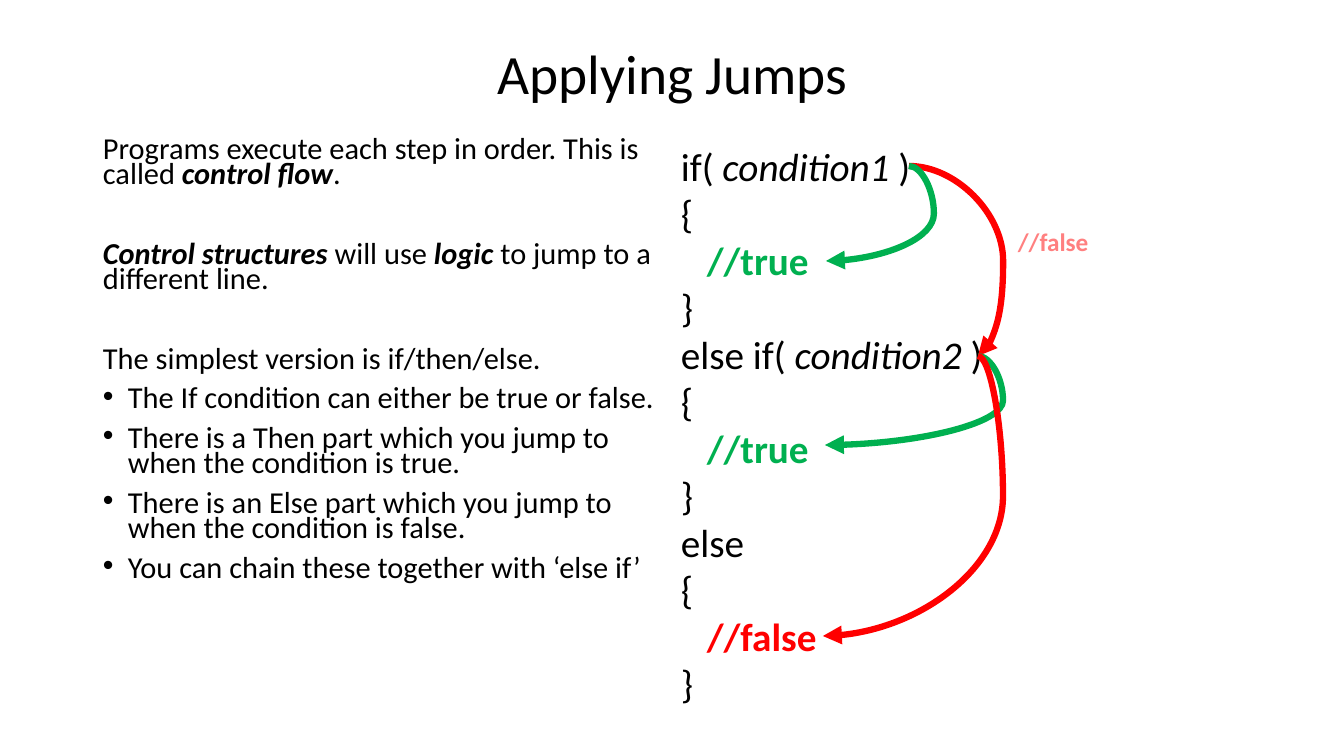
from pptx import Presentation
from pptx import util as u
from pptx.dml.color import RGBColor
from pptx.enum import shapes, text
from pptx.oxml.ns import qn
from lxml import etree

PX = u.Inches(1) / 100.8
HUES = {"ink": "000000", "white": "FFFFFF", "true": "00B050", "false": "FF0000"}


def px(*sizes):
    return [round(size * PX) for size in sizes]


def write(frame, runs, first=False, size=28, hue="ink", bold=False, space=0,
          line=None, align=None, left=0, bullet=False):
    frame.word_wrap = True
    para = frame.paragraphs[0] if first else frame.add_paragraph()
    para.alignment, para.line_spacing = align, line
    para.space_before = u.Pt(space)
    props = para._p.get_or_add_pPr()
    if left:
        props.set("marL", str(px(left)[0]))
    if bullet:
        props.set("indent", str(-px(left)[0]))
        etree.SubElement(props, qn("a:buFont"), typeface="Arial")
        etree.SubElement(props, qn("a:buChar"), char="•")
    for words, mark in runs:
        run = para.add_run()
        run.text = words
        font = run.font
        font.name, font.size = "Calibri", u.Pt(size)
        font.bold, font.italic = bold or "b" in mark, "i" in mark
        font.color.rgb = RGBColor.from_string(HUES[hue])


deck = Presentation()
deck.slide_width, deck.slide_height = px(1344, 756)
slide = deck.slides.add_slide(deck.slide_layouts[5])
items = slide.shapes

title = items.title
title.left, title.top, title.width, title.height = px(93, 40, 1159, 74)
title.text_frame.auto_size = text.MSO_AUTO_SIZE.NONE
title.text_frame.vertical_anchor = text.MSO_ANCHOR.MIDDLE
write(title.text_frame, [("Applying Jumps", "")], first=True, size=39.6,
      line=0.9, align=text.PP_ALIGN.CENTER)

label = items.add_textbox(*px(1008, 221, 159, 40))
write(label.text_frame, [("//false", "")], first=True, size=18, hue="false", bold=True)

veil = items.add_shape(shapes.MSO_SHAPE.RECTANGLE, *px(990, 188, 178, 120))
veil.shadow.inherit = False
veil.line.fill.background()
veil.fill.solid()
veil.fill.fore_color.rgb = RGBColor.from_string(HUES["white"])
tint = veil.fill._xPr.find(qn("a:solidFill"))[0]
etree.SubElement(tint, qn("a:alpha"), val="50000")

notes = [
    [("Programs execute each step in order. This is called ", ""),
     ("control flow", "bi"), (".", "")],
    [("Control structures", "bi"), (" will use ", ""), ("logic ", "bi"),
     ("to jump to a different line.", "")],
    [("The simplest version is if/then/else.", "")],
]
points = [
    "The If condition can either be true or false.",
    "There is a Then part which you jump to when the condition is true.",
    "There is an Else part which you jump to when the condition is false.",
    "You can chain these together with ‘else if’",
]
body = items.add_textbox(*px(93, 134, 572, 546)).text_frame
for row, runs in enumerate(notes):
    write(body, runs, first=row == 0, size=21.7, line=0.7, space=38.5 if row else 10)
for point in points:
    write(body, [(point, "")], size=21.7, line=0.7, space=10, left=25, bullet=True)

blocks = [
    ([("if( ", ""), ("condition1", "i"), (" )", "")], "true"),
    ([("else if( ", ""), ("condition2", "i"), (" )", "")], "true"),
    ([("else", "")], "false"),
]
code = items.add_textbox(*px(671, 137, 354, 581)).text_frame
for row, (head, case) in enumerate(blocks):
    write(code, head, first=row == 0)
    write(code, [("{", "")])
    write(code, [("//" + case, "")], hue=case, bold=True, left=26)
    write(code, [("}", "")])

jumps = [
    (909, 166, 978, 356, "false", 136500),
    (909, 166, 826, 261, "true", -30100),
    (978, 356, 825, 445, "true", -16400),
    (978, 356, 823, 636, "false", -16200),
]
for x, y, far, low, case, bend in jumps:
    jump = items.add_connector(shapes.MSO_CONNECTOR.CURVE, *px(x, y, far, low))
    jump.line.width = u.Pt(4.5)
    jump.line.color.rgb = RGBColor.from_string(HUES[case])
    etree.SubElement(jump.line._get_or_add_ln(), qn("a:tailEnd"), type="triangle")
    props = jump._element.spPr
    etree.SubElement(props, qn("a:effectLst"))
    shape = props.find(qn("a:prstGeom"))
    etree.SubElement(shape.find(qn("a:avLst")), qn("a:gd"), name="adj1", fmla=f"val {bend}")

deck.save("out.pptx")
